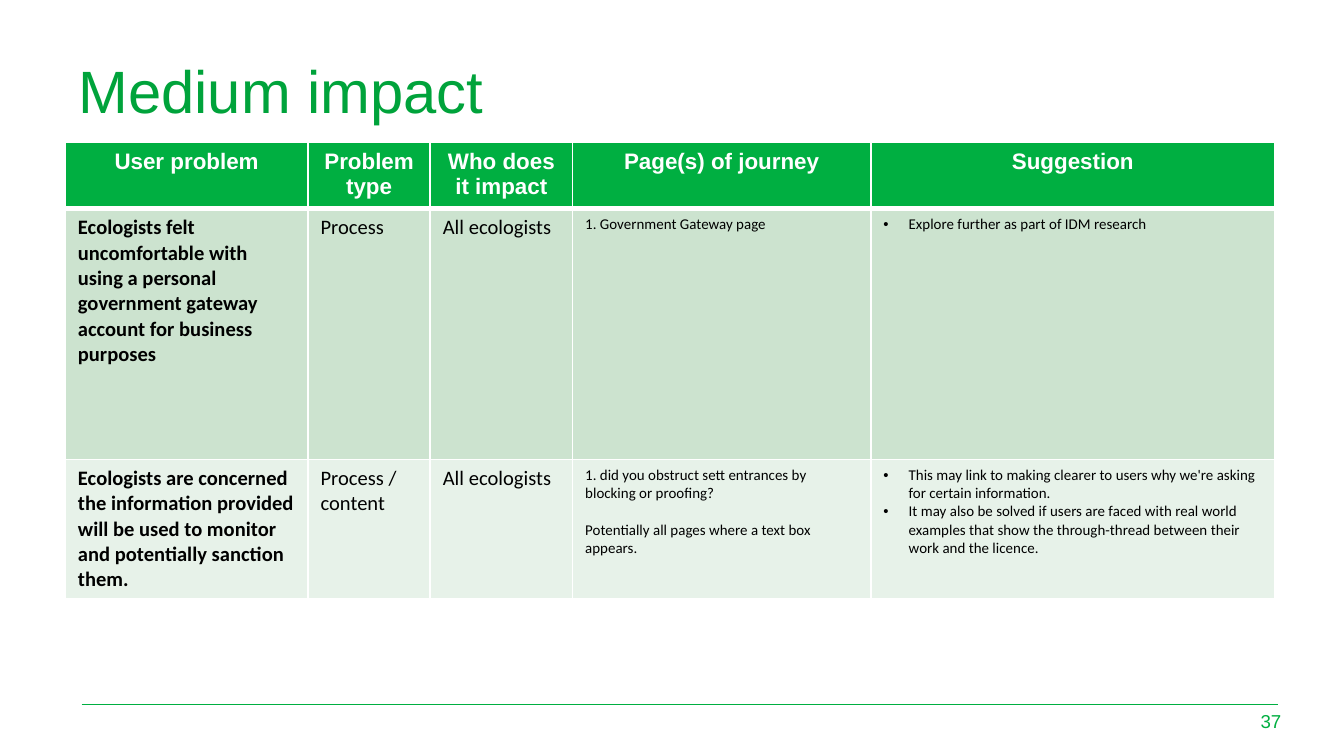
import pptx
import pptx.util
import pptx.dml.color
import pptx.enum.shapes
import pptx.enum.text
import pptx.oxml.ns
from lxml import etree

Pt = pptx.util.Pt
ALIGN = pptx.enum.text.PP_ALIGN
ANCHOR = pptx.enum.text.MSO_ANCHOR

# Content: a cell is a list of paragraphs
TITLE = "Medium impact"
PAGE_NUMBER = "37"
HEADERS = ["User problem", "Problem type", "Who does it impact",
           "Page(s) of journey", "Suggestion"]
PROBLEMS = [
    [["Ecologists felt uncomfortable with using a personal government gateway "
      "account for business purposes"],
     ["Process"],
     ["All ecologists"],
     ["1. Government Gateway page"],
     ["Explore further as part of IDM research"]],
    [["Ecologists are concerned the information provided will be used to monitor "
      "and potentially sanction them."],
     ["Process / content"],
     ["All ecologists"],
     ["1. did you obstruct sett entrances by blocking or proofing?",
      "Potentially all pages where a text box appears."],
     ["This may link to making clearer to users why we're asking for certain "
      "information.",
      "It may also be solved if users are faced with real world examples that show "
      "the through-thread between their work and the licence."]],
]

# Theme: colours and type
GREEN, WHITE = "00AF41", "FFFFFF"
THEME = {
    "title": {"name": "Arial", "size": 32, "color": "00A33B"},
    "number": {"name": "Arial", "size": 10, "color": GREEN},
    "header": {"name": "Arial", "size": 12, "color": WHITE, "bold": True},
    "problem": {"name": "Calibri", "size": 11, "color": "000000", "bold": True},
    "body": {"name": "Calibri", "size": 11, "color": "000000", "bold": False},
    "detail": {"name": "Calibri", "size": 8, "color": "000000", "bold": False},
    "header_fill": GREEN,
    "row_fills": ["CCE3CF", "E7F2E9"],
    "border": WHITE,
    "rule": GREEN,
}
COLUMN_STYLES = ["problem", "body", "body", "detail", "detail"]
PAGES_COLUMN, SUGGESTION_COLUMN = 3, 4

# Layout in points
COLUMN_WIDTHS = [130, 65.5, 76.3, 159.8, 216.4]
ROW_HEIGHTS = [34.5, 134.3, 74.7]
TABLE_LEFT, TABLE_TOP = 35, 76.3
CELL_MARGINS = {"margin_left": 6.75, "margin_right": 6.75,
                "margin_top": 3.4, "margin_bottom": 3.4}
BULLET_INDENT = 13.5
PARAGRAPH_GAP = 9.75


def rgb(value):
    return pptx.dml.color.RGBColor.from_string(value)


def write(para, text, style):
    span = para.add_run()
    span.text = text
    for key, value in THEME[style].items():
        if key == "color":
            span.font.color.rgb = rgb(value)
        else:
            setattr(span.font, key, Pt(value) if key == "size" else value)


def add_bullet(para):
    properties = para._p.get_or_add_pPr()
    properties.set("marL", str(Pt(BULLET_INDENT)))
    properties.set("indent", str(-Pt(BULLET_INDENT)))
    for tag, key, value in [("buFont", "typeface", "Arial"), ("buChar", "char", "•")]:
        etree.SubElement(properties, pptx.oxml.ns.qn("a:" + tag)).set(key, value)


def set_borders(cell, bottom):
    """Place the four edge lines ahead of the fill, as the schema orders them."""
    properties = cell._tc.get_or_add_tcPr()
    widths = {"lnL": 1, "lnR": 1, "lnT": 1, "lnB": bottom}
    for place, (tag, width) in enumerate(widths.items()):
        edge = etree.Element(pptx.oxml.ns.qn("a:" + tag), w=str(Pt(width)))
        fill = etree.SubElement(edge, pptx.oxml.ns.qn("a:solidFill"))
        etree.SubElement(fill, pptx.oxml.ns.qn("a:srgbClr"), val=THEME["border"])
        properties.insert(place, edge)


def fill_cell(cell, texts, style, fill, align=ALIGN.LEFT, bullets=False, gap=0, bottom=1):
    cell.fill.solid()
    cell.fill.fore_color.rgb = rgb(fill)
    set_borders(cell, bottom)
    for key, value in CELL_MARGINS.items():
        setattr(cell, key, Pt(value))
    for index, text in enumerate(texts):
        para = cell.text_frame.add_paragraph() if index else cell.text_frame.paragraphs[0]
        if index and gap:
            para.space_before = Pt(gap)
        if bullets:
            add_bullet(para)
        para.alignment = align
        write(para, text, style)


def add_text(slide, bounds, text, style, frame_format, para_format):
    box = slide.shapes.add_textbox(*map(Pt, bounds))
    for key, value in {"word_wrap": True, **frame_format}.items():
        setattr(box.text_frame, key, value)
    para = box.text_frame.paragraphs[0]
    for key, value in para_format.items():
        setattr(para, key, value)
    write(para, text, style)


def add_problem_table(slide):
    table = slide.shapes.add_table(
        len(ROW_HEIGHTS), len(COLUMN_WIDTHS), Pt(TABLE_LEFT), Pt(TABLE_TOP),
        Pt(sum(COLUMN_WIDTHS)), Pt(sum(ROW_HEIGHTS))).table
    for column, width in zip(table.columns, COLUMN_WIDTHS):
        column.width = Pt(width)
    for row, height in zip(table.rows, ROW_HEIGHTS):
        row.height = Pt(height)

    for column, header in enumerate(HEADERS):
        fill_cell(table.cell(0, column), [header], "header", THEME["header_fill"],
                  align=ALIGN.CENTER, bottom=3)
    for row, (problem, fill) in enumerate(zip(PROBLEMS, THEME["row_fills"]), 1):
        for column, (texts, style) in enumerate(zip(problem, COLUMN_STYLES)):
            fill_cell(table.cell(row, column), texts, style, fill,
                      bullets=column == SUGGESTION_COLUMN,
                      gap=PARAGRAPH_GAP if column == PAGES_COLUMN else 0)


def main():
    deck = pptx.Presentation()
    deck.slide_width, deck.slide_height = Pt(720), Pt(405)
    slide = deck.slides.add_slide(deck.slide_layouts[6])

    # Footer rule
    rule = slide.shapes.add_connector(pptx.enum.shapes.MSO_CONNECTOR.STRAIGHT,
                                      Pt(43.7), Pt(377.5), Pt(684.7), Pt(377.5))
    rule.line.color.rgb = rgb(THEME["rule"])
    rule.line.width = Pt(0.5)
    etree.SubElement(rule._element.spPr, pptx.oxml.ns.qn("a:effectLst"))

    # Title and page number
    add_text(slide, (TABLE_LEFT, 27.4, 651, 28.8), TITLE, "title",
             {"vertical_anchor": ANCHOR.TOP, "margin_top": Pt(6)},
             {"line_spacing": 0.9})
    add_text(slide, (661, 375.3, 32.4, 21.6), PAGE_NUMBER, "number",
             {"vertical_anchor": ANCHOR.MIDDLE}, {"alignment": ALIGN.RIGHT})

    add_problem_table(slide)
    deck.save("out.pptx")


if __name__ == "__main__":
    main()
